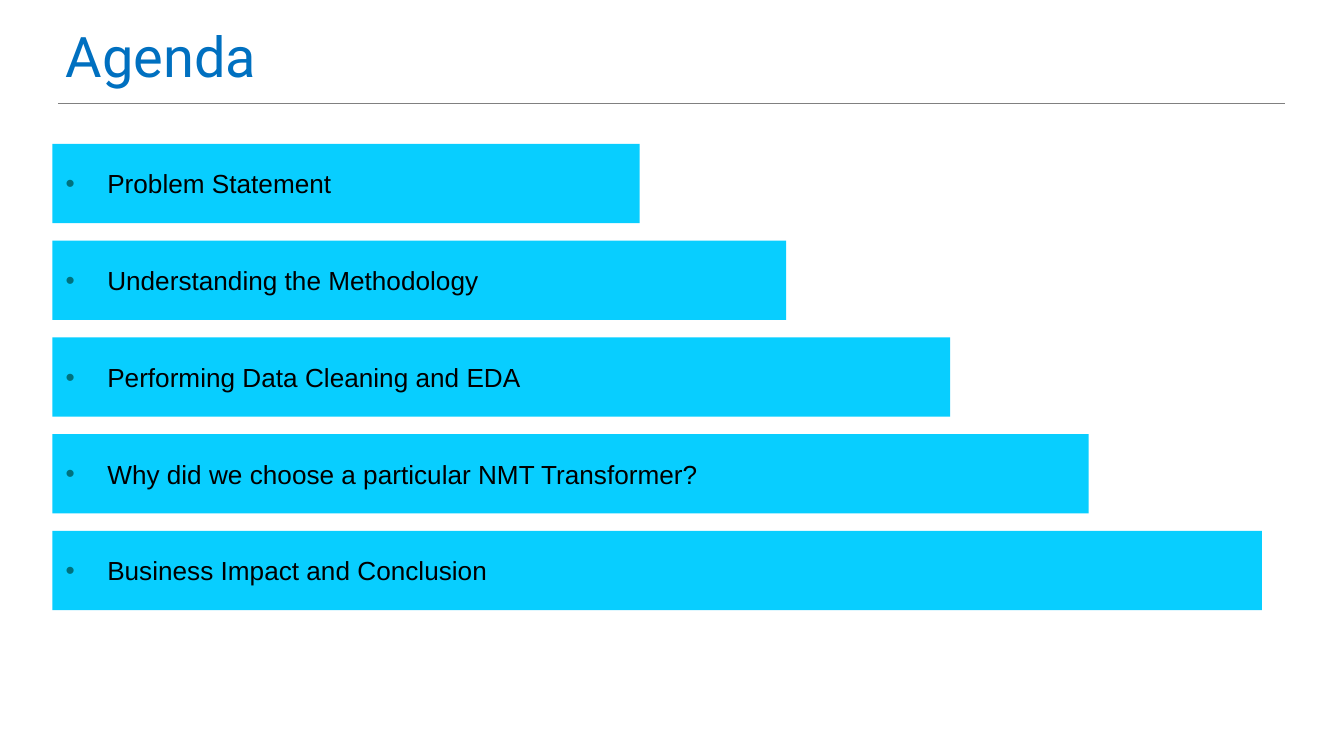
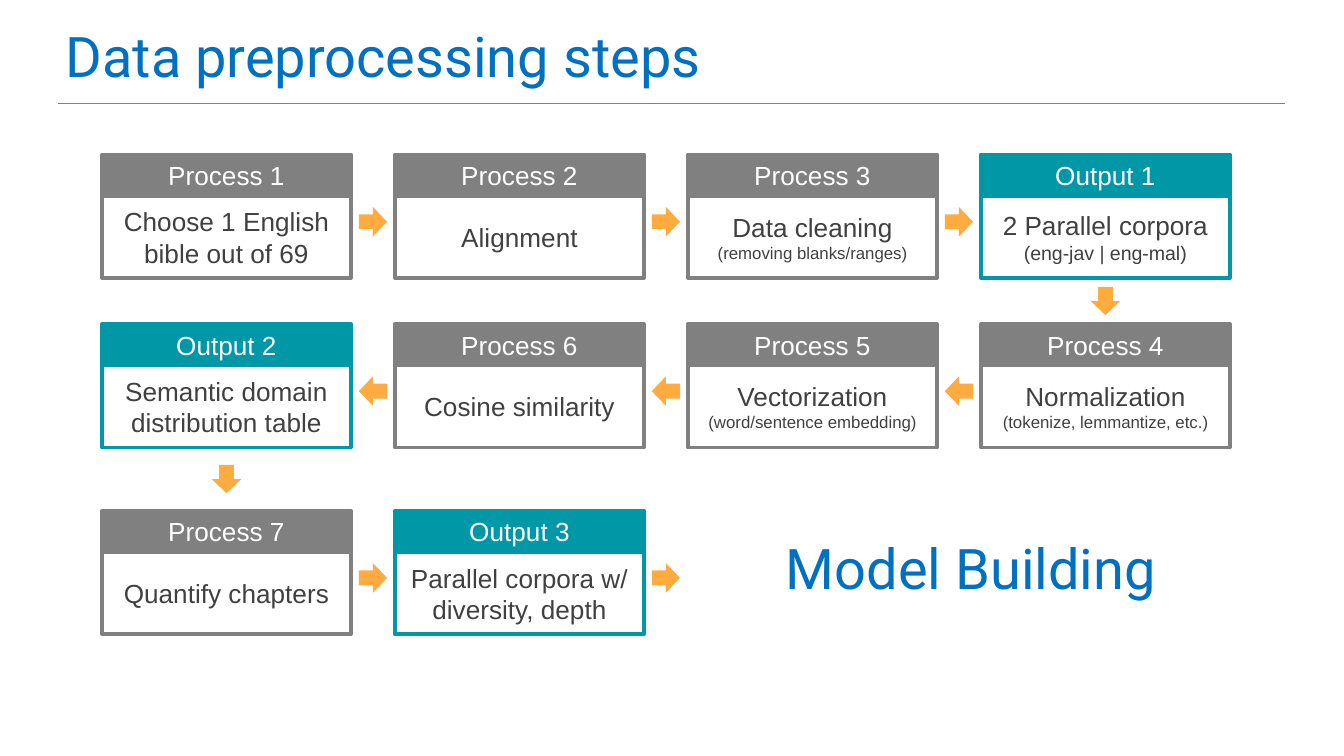
from dataclasses import dataclass
from itertools import pairwise

from lxml import etree
from pptx import Presentation
from pptx.dml.color import RGBColor
from pptx.enum.shapes import MSO_CONNECTOR, MSO_SHAPE
from pptx.enum.text import MSO_ANCHOR, PP_ALIGN
from pptx.oxml.ns import qn
from pptx.util import Inches, Pt

RECT, ARROW = MSO_SHAPE.RECTANGLE, MSO_SHAPE.RIGHT_ARROW
STRAIGHT = MSO_CONNECTOR.STRAIGHT
LEFT, CENTER = PP_ALIGN.LEFT, PP_ALIGN.CENTER
TOP, MIDDLE = MSO_ANCHOR.TOP, MSO_ANCHOR.MIDDLE

SLIDE_W = 10
SLIDE_H = SLIDE_W * 9 / 16
MARGIN = 0.39
BLUE, CYAN, BULLET = "0070C0", "08CEFF", "00717D"
GREY, TEAL, ORANGE = "808080", "0097A7", "FFAB40"
WHITE, BLACK, DARK = "FFFFFF", "000000", "404040"
HEAD_FONT, BODY_FONT = "Roboto", "Arial"

BAR_TOP, BAR_PITCH, BAR_H = 1.07, 0.72, 0.59
BULLET_INDENT = 0.31

COL_LEFT, COL_PITCH, CARD_W = 0.76, 2.18, 1.85
ROW_TOPS = (1.15, 2.41, 3.8)
HEAD_H, BODY_H = 0.31, 0.61
CARD_H = HEAD_H + BODY_H
ARROW_W, ARROW_H, ARROW_DROP = 0.21, 0.22, 0.5


@dataclass(frozen=True)
class Box:
    x: float
    y: float
    w: float
    h: float

    def emu(self) -> list[int]:
        return [Inches(v) for v in (self.x, self.y, self.w, self.h)]


@dataclass(frozen=True)
class Bar:
    text: str
    width: float


@dataclass(frozen=True)
class Card:
    col: int
    row: int
    head: str
    lines: tuple[str, ...]
    color: str = GREY
    note_size: float = 14

    @property
    def x(self) -> float:
        return COL_LEFT + self.col * COL_PITCH

    @property
    def y(self) -> float:
        return ROW_TOPS[self.row]


BARS = (
    Bar("Problem Statement", 4.37),
    Bar("Understanding the Methodology", 5.46),
    Bar("Performing Data Cleaning and EDA", 6.68),
    Bar("Why did we choose a particular NMT Transformer?", 7.71),
    Bar("Business Impact and Conclusion", 9),
)

CARDS = (
    Card(0, 0, "Process 1", ("Choose 1 English bible out of 69",)),
    Card(1, 0, "Process 2", ("Alignment",)),
    Card(2, 0, "Process 3", ("Data cleaning", "(removing blanks/ranges)"), note_size=9),
    Card(3, 0, "Output 1", ("2 Parallel corpora", "(eng-jav | eng-mal)"), TEAL, 10.5),
    Card(3, 1, "Process 4", ("Normalization", "(tokenize, lemmantize, etc.)"), note_size=9),
    Card(2, 1, "Process 5", ("Vectorization", "(word/sentence embedding)"), note_size=9),
    Card(1, 1, "Process 6", ("Cosine similarity",)),
    Card(0, 1, "Output 2", ("Semantic domain", "distribution table"), TEAL),
    Card(0, 2, "Process 7", ("Quantify chapters",)),
    Card(1, 2, "Output 3", ("Parallel corpora w/", "diversity, depth"), TEAL),
)
GOAL = Card(2, 2, "Model Building", ())


def rgb(color: str) -> RGBColor:
    return RGBColor.from_string(color)


def add_bullet(p) -> None:
    pPr = p._p.get_or_add_pPr()
    pPr.set("marL", str(Inches(BULLET_INDENT)))
    pPr.set("indent", str(-Inches(BULLET_INDENT)))
    clr = etree.SubElement(pPr, qn("a:buClr"))
    etree.SubElement(clr, qn("a:srgbClr"), val=BULLET)
    etree.SubElement(pPr, qn("a:buFont"), typeface=BODY_FONT)
    etree.SubElement(pPr, qn("a:buChar"), char="•")


def write(sp, *lines: str, size: float = 14, note_size: float = 14, font: str = BODY_FONT,
          color: str = DARK, align=CENTER, anchor=MIDDLE, bullet: bool = False) -> None:
    tf = sp.text_frame
    tf.word_wrap = True
    tf.vertical_anchor = anchor
    for i, text in enumerate(lines):
        p = tf.add_paragraph() if i else tf.paragraphs[0]
        p.alignment = align
        if bullet:
            add_bullet(p)
        r = p.add_run()
        r.text = text
        r.font.size = Pt(note_size if i else size)
        r.font.name = font
        r.font.color.rgb = rgb(color)


def add_block(shapes, kind, box: Box, fill: str, line: str | None = None):
    sp = shapes.add_shape(kind, *box.emu())
    sp.shadow.inherit = False
    sp.fill.solid()
    sp.fill.fore_color.rgb = rgb(fill)
    if line:
        sp.line.color.rgb = rgb(line)
        sp.line.width = Pt(2)
    else:
        sp.line.fill.background()
    return sp


def add_heading(s, box: Box, text: str, align=LEFT) -> None:
    sp = s.shapes.add_textbox(*box.emu())
    tf = sp.text_frame
    tf.margin_top = tf.margin_bottom = Inches(0.1)
    write(sp, text, size=30, font=HEAD_FONT, color=BLUE, align=align, anchor=TOP)


def add_slide(prs, title: str):
    s = prs.slides.add_slide(prs.slide_layouts[6])
    rule = s.shapes.add_connector(STRAIGHT, Inches(0.43), Inches(0.77), Inches(9.56), Inches(0.77))
    rule.line.color.rgb = rgb(GREY)
    rule.line.width = Pt(0.75)
    etree.SubElement(rule._element.spPr, qn("a:effectLst"))
    add_heading(s, Box(MARGIN, 0.06, 9.13, 0.63), title)
    return s


def add_card(s, card: Card) -> None:
    shapes = s.shapes.add_group_shape().shapes
    body = add_block(shapes, RECT, Box(card.x, card.y + HEAD_H, CARD_W, BODY_H), WHITE, card.color)
    write(body, *card.lines, note_size=card.note_size)
    head = add_block(shapes, RECT, Box(card.x, card.y, CARD_W, HEAD_H), card.color, card.color)
    write(head, card.head, color=WHITE)


def add_arrow(s, a: Card, b: Card) -> None:
    if a.row == b.row:
        cx = (a.x + b.x + CARD_W) / 2
        cy = a.y + ARROW_DROP
        turn = 0 if b.col > a.col else 180
    else:
        cx = a.x + CARD_W / 2
        cy = (a.y + CARD_H + b.y) / 2
        turn = 90
    box = Box(cx - ARROW_W / 2, cy - ARROW_H / 2, ARROW_W, ARROW_H)
    add_block(s.shapes, ARROW, box, ORANGE).rotation = turn


def build_agenda(prs) -> None:
    s = add_slide(prs, "Agenda")
    for i, bar in enumerate(BARS):
        box = Box(MARGIN, BAR_TOP + i * BAR_PITCH, bar.width, BAR_H)
        sp = add_block(s.shapes, RECT, box, CYAN)
        write(sp, bar.text, color=BLACK, align=LEFT, bullet=True)


def build_steps(prs) -> None:
    s = add_slide(prs, "Data preprocessing steps")
    for card in CARDS:
        add_card(s, card)
    for a, b in pairwise((*CARDS, GOAL)):
        add_arrow(s, a, b)
    add_heading(s, Box(5.6, 3.87, 3.25, 0.64), GOAL.head, CENTER)


def main() -> None:
    prs = Presentation()
    prs.slide_width, prs.slide_height = Inches(SLIDE_W), Inches(SLIDE_H)
    build_agenda(prs)
    build_steps(prs)
    prs.save("out.pptx")


if __name__ == "__main__":
    main()
